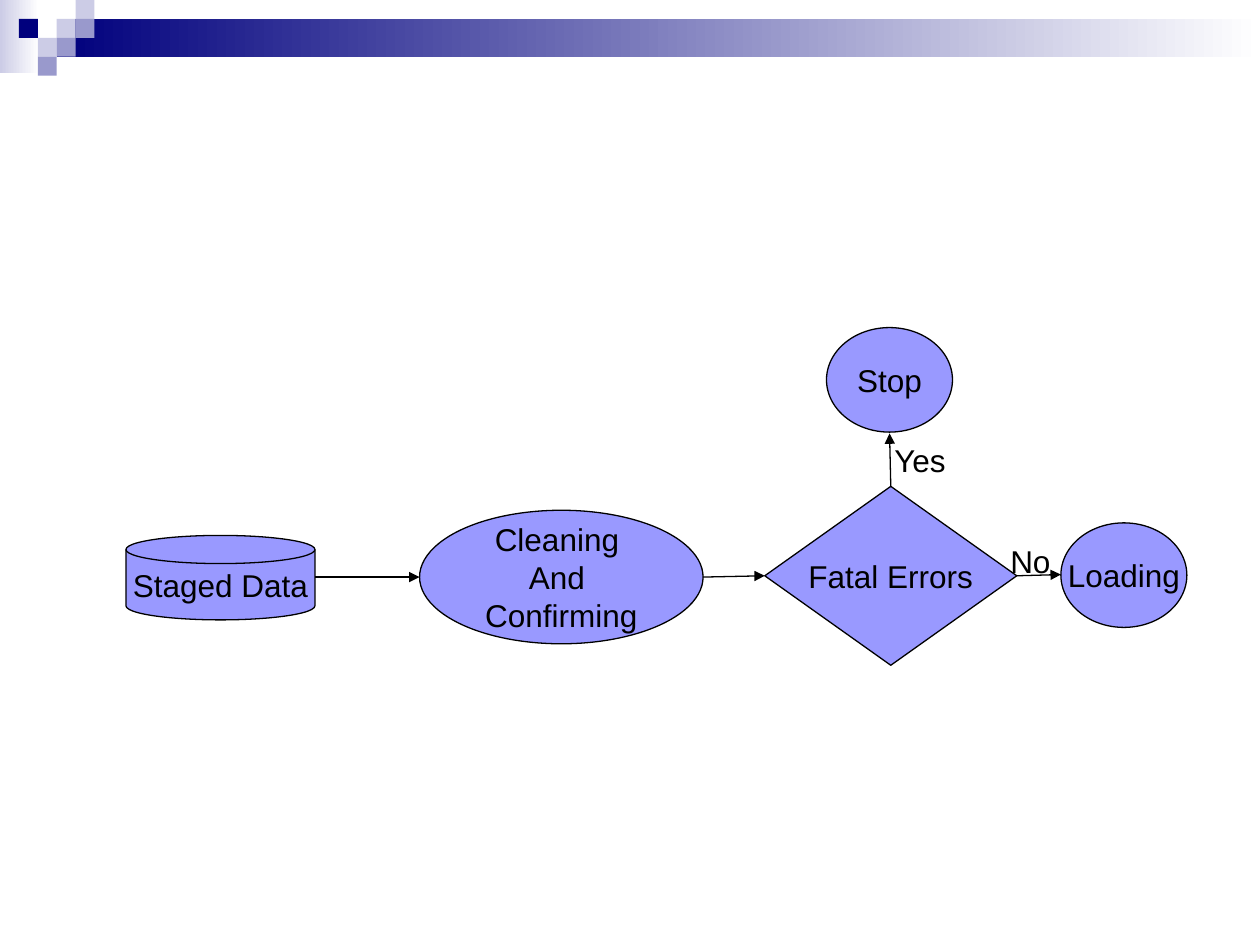
from lxml.etree import SubElement
from pptx import Presentation
from pptx.dml.color import RGBColor
from pptx.enum.shapes import MSO_CONNECTOR as Link, MSO_SHAPE as Kind
from pptx.enum.text import MSO_ANCHOR as Anchor, PP_ALIGN as Align
from pptx.oxml.ns import qn
from pptx.util import Inches, Pt

COLORS = {"navy": "00007D", "mid": "9999CC", "pale": "CCCCE6",
          "white": "FFFFFF", "node": "9999FF", "ink": "000000"}
rgb = {name: RGBColor.from_string(code) for name, code in COLORS.items()}

deck = Presentation()
deck.slide_width, deck.slide_height = Inches(10), Inches(7.5)
slide = deck.slides.add_slide(deck.slide_layouts[6])
shapes = slide.shapes


def add_box(kind, *place):
    box = shapes.add_shape(kind, *map(Inches, place))
    box.shadow.inherit = False
    return box


def write(frame, text, align):
    frame.text = text
    for para in frame.paragraphs:
        para.alignment = align
        for run in para.runs:
            run.font.name = "Arial"
            run.font.size = Pt(18)
            run.font.color.rgb = rgb["ink"]


# Header: two fading bands
for place, start in [((0, 0, 0.31, 0.58), "pale"), ((0.45, 0.15, 9.55, 0.3), "navy")]:
    band = add_box(Kind.RECTANGLE, *place)
    band.line.fill.background()
    band.fill.gradient()
    band.fill.gradient_angle = 0
    for stop, color, spot in zip(band.fill.gradient_stops, (start, "white"), (0, 1)):
        stop.color.rgb = rgb[color]
        stop.position = spot

# Header: small squares on a grid of column and row
STEP = 0.15
for col, row, color in [(3, 1, "pale"), (4, 0, "pale"), (4, 1, "mid"), (2, 2, "pale"),
                        (1, 1, "navy"), (3, 2, "mid"), (2, 3, "mid")]:
    tile = add_box(Kind.RECTANGLE, col * STEP, row * STEP, STEP, STEP)
    tile.line.fill.background()
    tile.fill.solid()
    tile.fill.fore_color.rgb = rgb[color]

# Flow steps
steps = {}
for name, kind, place, text in [
    ("staged", Kind.FLOWCHART_MAGNETIC_DISK, (1, 4.25, 1.5, 0.67), "Staged Data"),
    ("clean", Kind.OVAL, (3.33, 4.05, 2.25, 1.06), "Cleaning \nAnd \nConfirming"),
    ("errors", Kind.FLOWCHART_DECISION, (6.07, 3.86, 2, 1.42), "Fatal Errors"),
    ("stop", Kind.OVAL, (6.56, 2.6, 1, 0.83), "Stop"),
    ("load", Kind.OVAL, (8.42, 4.15, 1, 0.83), "Loading"),
]:
    step = steps[name] = add_box(kind, *place)
    step.fill.solid()
    step.fill.fore_color.rgb = rgb["node"]
    step.line.color.rgb = rgb["ink"]
    step.line.width = Pt(0.75)
    step.text_frame.word_wrap = False
    step.text_frame.vertical_anchor = Anchor.MIDDLE
    write(step.text_frame, text, Align.CENTER)

# Arrows, with the decision's side where one starts or ends there
for ends, begin, end in [
    ((2.5, 4.58, 3.33, 4.58), None, None),
    ((5.58, 4.58, 6.07, 4.58), None, 1),
    ((7.06, 3.86, 7.06, 3.44), 0, None),
    ((8.07, 4.56, 8.42, 4.56), 3, None),
]:
    arrow = shapes.add_connector(Link.STRAIGHT, *map(Inches, ends))
    if begin is not None:
        arrow.begin_connect(steps["errors"], begin)
    if end is not None:
        arrow.end_connect(steps["errors"], end)
    arrow.line.color.rgb = rgb["ink"]
    arrow.line.width = Pt(0.75)
    SubElement(arrow.line._get_or_add_ln(), qn("a:tailEnd"), type="triangle")
    SubElement(arrow._element.spPr, qn("a:effectLst"))

# Branch labels
for text, left, top in [("Yes", 7, 3.45), ("No", 7.92, 4.25)]:
    label = shapes.add_textbox(Inches(left), Inches(top), Inches(1.33), Inches(0.4))
    label.text_frame.word_wrap = True
    write(label.text_frame, text, Align.LEFT)

deck.save("out.pptx")
